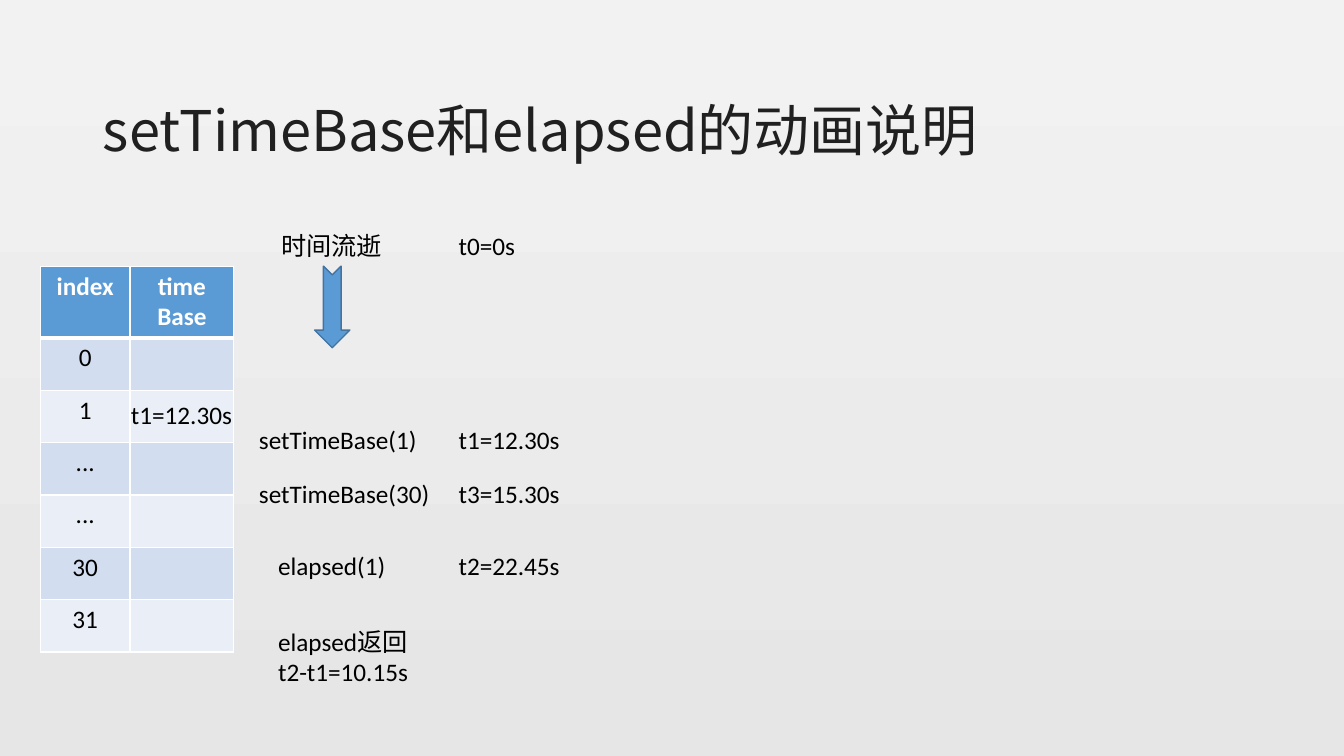
from dataclasses import dataclass

import pptx
import pptx.dml.color
import pptx.enum.shapes
import pptx.enum.text
import pptx.oxml
import pptx.oxml.ns
import pptx.util

Inches = pptx.util.Inches
Pt = pptx.util.Pt
NS = pptx.oxml.ns.nsdecls("a")


@dataclass(frozen=True)
class Theme:
    font: str = "Calibri"
    cjk_font: str = "Noto Sans CJK SC"
    title_size: int = 40
    body_size: int = 18
    title: str = "202020"
    text: str = "000000"
    white: str = "FFFFFF"
    accent: str = "5B9BD5"
    accent_line: str = "43739E"
    bands: tuple = ("D2DEEF", "EAEFF7")
    background: tuple = ("F2F2F2", "E7E6E6")


THEME = Theme()
INDEXES = ["0", "1", "...", "...", "30", "31"]
CALL_X, TIME_X = 2.47, 4.45
LABELS = [
    (2.69, 2.24, 1.22, ["时间流逝"]),
    (TIME_X, 2.24, 1.22, ["t0=0s"]),
    (CALL_X, 4.16, 1.8, ["setTimeBase(1)"]),
    (TIME_X, 4.16, 1.22, ["t1=12.30s"]),
    (CALL_X, 4.7, 1.89, ["setTimeBase(30)"]),
    (TIME_X, 4.7, 1.22, ["t3=15.30s"]),
    (2.66, 5.41, 1.27, ["elapsed(1)"]),
    (TIME_X, 5.41, 1.22, ["t2=22.45s"]),
    (2.66, 6.16, 1.61, ["elapsed返回", "t2-t1=10.15s"]),
    (1.2, 3.91, 1.22, ["t1=12.30s"]),
]


def rgb(value):
    return pptx.dml.color.RGBColor.from_string(value)


def add_run(p, text, size, color, font=THEME.font, bold=False):
    r = p.add_run()
    r.text = text
    r.font.name = font
    r.font.size = Pt(size)
    r.font.bold = bold
    r.font.color.rgb = rgb(color)
    latin = r.font._element.find(pptx.oxml.ns.qn("a:latin"))
    latin.addnext(pptx.oxml.parse_xml(f'<a:ea {NS} typeface="{THEME.cjk_font}"/>'))


def add_lines(tf, lines, color=THEME.text, bold=False, align=None):
    for i, line in enumerate(lines):
        p = tf.paragraphs[0] if i == 0 else tf.add_paragraph()
        p.alignment = align
        add_run(p, line, THEME.body_size, color, bold=bold)


def set_background(s):
    fill = s.background.fill
    fill.gradient()
    fill.gradient_angle = 270
    for stop, color in zip(fill.gradient_stops, THEME.background):
        stop.color.rgb = rgb(color)


def set_title(s, text):
    sp = s.shapes.title
    sp.left, sp.top = Inches(0.92), Inches(0.22)
    sp.width, sp.height = Inches(11.5), Inches(1.45)
    tf = sp.text_frame
    tf.word_wrap = True
    tf.vertical_anchor = pptx.enum.text.MSO_ANCHOR.BOTTOM
    p = tf.paragraphs[0]
    p.alignment = pptx.enum.text.PP_ALIGN.LEFT
    p.line_spacing = 0.9
    add_run(p, text, THEME.title_size, THEME.title, THEME.cjk_font)


def format_cell(cell, lines, fill, color=THEME.text, header=False):
    tcPr = cell._tc.get_or_add_tcPr()
    for side in "LRTB":
        width = Pt(3 if header and side == "B" else 1)
        tcPr.append(pptx.oxml.parse_xml(
            f'<a:ln{side} {NS} w="{width}"><a:solidFill>'
            f'<a:srgbClr val="{THEME.white}"/></a:solidFill></a:ln{side}>'))
    cell.fill.solid()
    cell.fill.fore_color.rgb = rgb(fill)
    add_lines(cell.text_frame, lines, color, header,
              pptx.enum.text.PP_ALIGN.CENTER)


def add_time_base_table(s):
    frame = s.shapes.add_table(len(INDEXES) + 1, 2, Inches(0.4), Inches(2.64),
                               Inches(1.92), Inches(3.81))
    table = frame.table
    table.horz_banding = False
    for column, width in zip(table.columns, (0.89, 1.03)):
        column.width = Inches(width)
    for i, row in enumerate(table.rows):
        row.height = Inches(0.52 if i else 0.69)
    for col, lines in enumerate((["index"], ["time", "Base"])):
        format_cell(table.cell(0, col), lines, THEME.accent, THEME.white, True)
    for i, index in enumerate(INDEXES):
        band = THEME.bands[i % 2]
        format_cell(table.cell(i + 1, 0), [index], band)
        format_cell(table.cell(i + 1, 1), [], band)


def add_time_arrow(s):
    sp = s.shapes.add_shape(
        pptx.enum.shapes.MSO_SHAPE.NOTCHED_RIGHT_ARROW,
        Inches(2.89), Inches(2.87), Inches(0.81), Inches(0.35))
    sp.rotation = 90
    sp.shadow.inherit = False
    sp.fill.solid()
    sp.fill.fore_color.rgb = rgb(THEME.accent)
    sp.line.color.rgb = rgb(THEME.accent_line)
    sp.line.width = Pt(1)


def add_label(s, left, top, width, lines):
    height = 0.4 + 0.31 * (len(lines) - 1)
    sp = s.shapes.add_textbox(Inches(left), Inches(top),
                              Inches(width), Inches(height))
    tf = sp.text_frame
    tf.word_wrap = len(lines) > 1
    tf.auto_size = pptx.enum.text.MSO_AUTO_SIZE.SHAPE_TO_FIT_TEXT
    add_lines(tf, lines, align=pptx.enum.text.PP_ALIGN.LEFT)


def main():
    prs = pptx.Presentation()
    prs.slide_width, prs.slide_height = Inches(13.33), Inches(7.5)
    s = prs.slides.add_slide(prs.slide_layouts.get_by_name("Title Only"))
    set_background(s)
    set_title(s, "setTimeBase和elapsed的动画说明")
    add_time_base_table(s)
    add_time_arrow(s)
    for label in LABELS:
        add_label(s, *label)
    prs.save("out.pptx")


if __name__ == "__main__":
    main()
